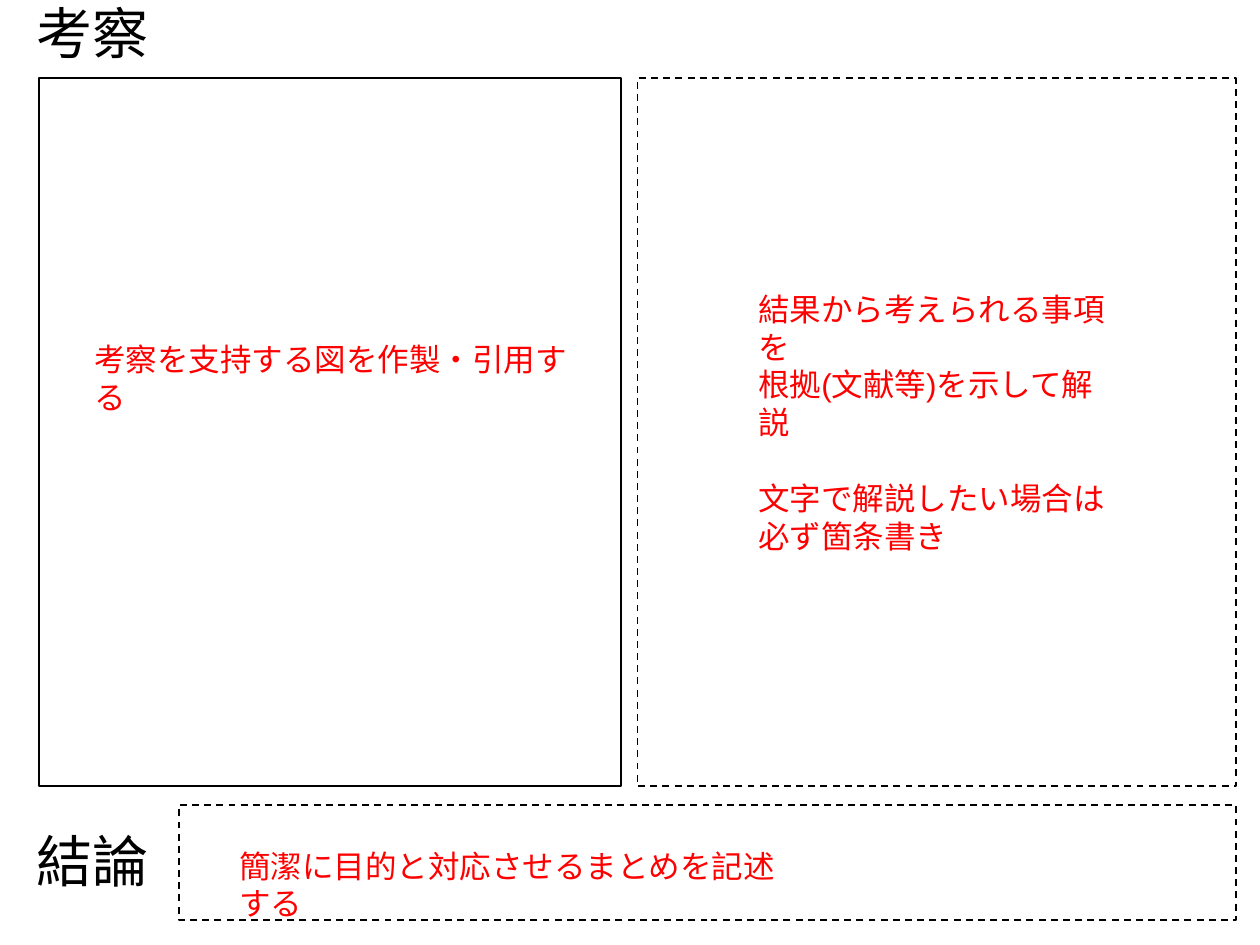
from pptx import Presentation
from pptx.dml.color import RGBColor
from pptx.enum.dml import MSO_LINE
from pptx.enum.shapes import MSO_SHAPE
from pptx.util import Inches, Pt

DASH = MSO_LINE.DASH
RECTANGLE = MSO_SHAPE.RECTANGLE
BLANK_LAYOUT = 6
FONT = "Arial"
COLORS = {"heading": "000000", "frame": "000000", "guidance": "FF0000"}


def add_frame(page, left, top, width, height, dash=None):
    """Add an unfilled outlined rectangle."""
    frame = page.shapes.add_shape(
        RECTANGLE, Inches(left), Inches(top), Inches(width), Inches(height))
    frame.shadow.inherit = False
    frame.fill.background()
    frame.line.color.rgb = RGBColor.from_string(COLORS["frame"])
    frame.line.width = Pt(1)
    if dash is not None:
        frame.line.dash_style = dash


def add_text(page, left, top, width, height, text, size, color):
    """Add a wrapping text box and return its paragraphs."""
    box = page.shapes.add_textbox(
        Inches(left), Inches(top), Inches(width), Inches(height))
    box.text_frame.word_wrap = True
    box.text_frame.text = text
    for para in box.text_frame.paragraphs:
        for span in para.runs:
            span.font.name = FONT
            span.font.size = Pt(size)
            span.font.color.rgb = RGBColor.from_string(COLORS[color])
    return box.text_frame.paragraphs


def add_heading(page, top, text):
    """Add a section heading at the left margin."""
    for para in add_text(page, 0.19, top, 8.62, 0.72, text, 32, "heading"):
        para.line_spacing = 0.9


def add_guidance(page, left, top, width, height, text):
    """Add a red writing instruction and return its paragraphs."""
    return add_text(page, left, top, width, height, text, 18, "guidance")


def main():
    """Build the discussion and conclusion slide."""
    deck = Presentation()
    deck.slide_width, deck.slide_height = Inches(10), Inches(7.5)
    page = deck.slides.add_slide(deck.slide_layouts[BLANK_LAYOUT])

    add_heading(page, 0, "考察")
    add_frame(page, 0.31, 0.62, 4.62, 5.62)
    add_guidance(page, 0.65, 2.65, 3.95, 0.4, "考察を支持する図を作製・引用する")
    add_frame(page, 5.06, 0.62, 4.75, 5.62, DASH)
    explanation = add_guidance(
        page, 5.92, 2.25, 3.04, 1.62,
        "結果から考えられる事項を\n根拠(文献等)を示して解説\n"
        "文字で解説したい場合は\n必ず箇条書き")
    explanation[2].space_before = Pt(21.6)

    add_heading(page, 6.57, "結論")
    add_frame(page, 1.42, 6.39, 8.39, 0.91, DASH)
    add_guidance(page, 1.8, 6.67, 4.65, 0.4, "簡潔に目的と対応させるまとめを記述する")

    deck.save("out.pptx")


if __name__ == "__main__":
    main()
